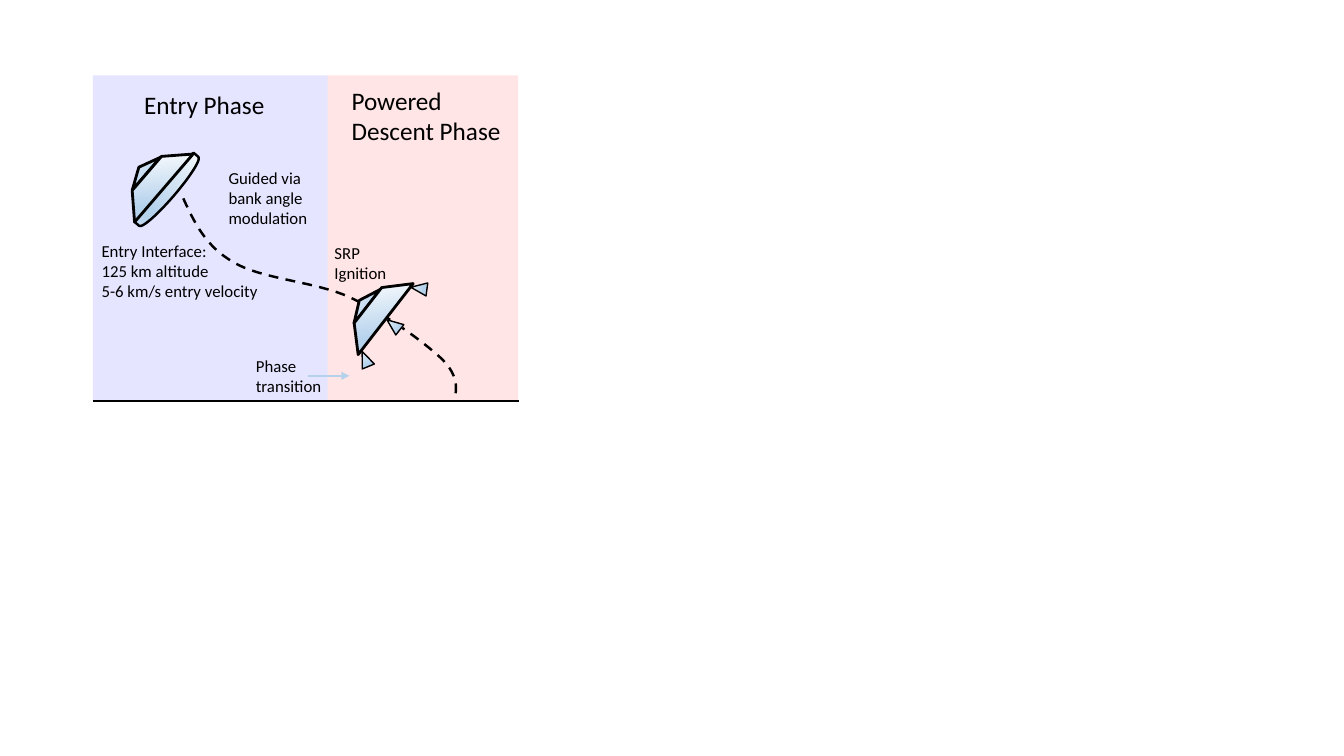
from lxml import etree
from pptx import Presentation
from pptx.dml.color import RGBColor
from pptx.enum.dml import MSO_LINE
from pptx.enum.shapes import MSO_CONNECTOR, MSO_SHAPE
from pptx.enum.text import MSO_AUTO_SIZE, PP_ALIGN
from pptx.oxml.ns import qn
from pptx.util import Cm, Pt

RECTANGLE = MSO_SHAPE.RECTANGLE
TRIANGLE = MSO_SHAPE.ISOSCELES_TRIANGLE
DELAY = MSO_SHAPE.FLOWCHART_DELAY
STRIPE = MSO_SHAPE.DIAGONAL_STRIPE
STRAIGHT = MSO_CONNECTOR.STRAIGHT
DASH = MSO_LINE.DASH
LEFT = PP_ALIGN.LEFT
FIT_TEXT = MSO_AUTO_SIZE.SHAPE_TO_FIT_TEXT

COLORS = {
    "ink": "000000",
    "entry": "E5E5FF",
    "descent": "FFE5E5",
    "pale": "F7FAFD",
    "sky": "B5D2EC",
    "mist": "CEE1F2",
}
METAL_STOPS = [(0, "pale"), (74, "sky"), (83, "sky"), (100, "mist")]

PHASE_PANELS = [
    ("descent", (8.23, 1.9, 4.83, 8.2)),
    ("entry", (2.34, 1.9, 5.92, 8.18)),
]

TRAJECTORY_START = (4.62, 5.0)
TRAJECTORY_CURVES = [
    ((4.9, 5.61), (5.18, 6.2), (5.87, 6.6)),
    ((6.58, 7.04), (7.95, 7.09), (8.81, 7.49)),
    ((9.7, 7.9), (10.67, 8.61), (11.13, 9.04)),
    ((11.56, 9.47), (11.51, 9.78), (11.46, 10.08)),
]
CURVE_STEPS = 16

NOSE = (TRIANGLE, (1.09, 0.25), 2)
SHIELD = (DELAY, (0.33, 2.29), 1.75)
BODY = (STRIPE, (1.6, 1.6), 2)
THRUSTER = (TRIANGLE, (0.33, 0.41), 1)

CAPSULES = [
    [
        (NOSE, (3.05, 4.17), 310.7),
        (SHIELD, (4.09, 3.68), 40.7),
        (BODY, (3.33, 3.94), 355.7),
    ],
    [
        (NOSE, (8.61, 7.52), 307.8),
        (BODY, (8.92, 7.24), 352.8),
        (THRUSTER, (9.75, 7.98), 307.8),
        (THRUSTER, (9.04, 8.84), 337.8),
        (THRUSTER, (10.39, 7.06), 277.8),
    ],
]

GROUND = ((2.34, 10.11), (13.08, 10.11))
TRANSITION_ARROW = ((7.77, 9.47), (8.81, 9.47))

LABELS = [
    (["Phase transition"], (6.2, 8.84, 2.54, 1.27), 12, True),
    (["Entry Interface:", "125 km altitude", "5-6 km/s entry velocity"],
     (2.31, 5.94, 4.6, 1.8), 12, False),
    (["Guided via bank angle modulation"], (5.51, 4.09, 2.59, 1.8), 12, True),
    (["SRP Ignition"], (8.18, 5.99, 1.9, 1.27), 12, True),
    (["Entry Phase"], (3.38, 2.13, 3.58, 1.02), 18, False),
    (["Powered", "Descent Phase"], (8.61, 2.03, 4.32, 1.8), 18, False),
]


def rgb(color):
    return RGBColor.from_string(COLORS[color])


def lengths(values):
    return [Cm(value) for value in values]


def set_line(part, width, color="ink"):
    part.line.color.rgb = rgb(color)
    part.line.width = Pt(width)


def fill_metal(part):
    part.fill.gradient()
    gradient = part.fill._xPr.find(qn("a:gradFill"))
    stops = gradient.find(qn("a:gsLst"))
    for stop in list(stops):
        stops.remove(stop)
    for percent, color in METAL_STOPS:
        stop = etree.SubElement(stops, qn("a:gs"), pos=str(percent * 1000))
        etree.SubElement(stop, qn("a:srgbClr"), val=COLORS[color])
    gradient.find(qn("a:lin")).set("ang", str(90 * 60000))


def add_panel(slide, color, box):
    panel = slide.shapes.add_shape(RECTANGLE, *lengths(box))
    panel.shadow.inherit = False
    panel.fill.solid()
    panel.fill.fore_color.rgb = rgb(color)
    panel.line.fill.background()


def bezier_point(t, *controls):
    weights = ((1 - t) ** 3, 3 * t * (1 - t) ** 2, 3 * t ** 2 * (1 - t), t ** 3)
    return tuple(
        Cm(sum(weight * control[axis] for weight, control in zip(weights, controls)))
        for axis in (0, 1)
    )


def add_trajectory(slide):
    start = TRAJECTORY_START
    points = []
    for curve in TRAJECTORY_CURVES:
        points += [bezier_point(step / CURVE_STEPS, start, *curve)
                   for step in range(1, CURVE_STEPS + 1)]
        start = curve[-1]
    builder = slide.shapes.build_freeform(*lengths(TRAJECTORY_START))
    builder.add_line_segments(points, close=False)
    trajectory = builder.convert_to_shape()
    trajectory.shadow.inherit = False
    trajectory.fill.background()
    set_line(trajectory, 1.75)
    trajectory.line.dash_style = DASH


def add_capsule(slide, parts):
    capsule = slide.shapes.add_group_shape()
    for (preset, size, width), corner, angle in parts:
        part = capsule.shapes.add_shape(preset, *lengths(corner + size))
        part.shadow.inherit = False
        part.rotation = angle
        fill_metal(part)
        set_line(part, width)


def add_line(slide, ends, width, color="ink", arrow=False):
    start, end = ends
    line = slide.shapes.add_connector(STRAIGHT, *lengths(start + end))
    set_line(line, width, color)
    properties = line._element.spPr
    if arrow:
        etree.SubElement(properties.find(qn("a:ln")), qn("a:tailEnd"), type="triangle")
    etree.SubElement(properties, qn("a:effectLst"))


def add_text(slide, lines, box, size=12, wrap=True, font="Calibri", color="ink"):
    label = slide.shapes.add_textbox(*lengths(box)).text_frame
    label.word_wrap = wrap
    label.auto_size = FIT_TEXT
    label.text = "\n".join(lines)
    for paragraph in label.paragraphs:
        paragraph.alignment = LEFT
        paragraph.font.name = font
        paragraph.font.size = Pt(size)
        paragraph.font.color.rgb = rgb(color)


def main():
    deck = Presentation()
    deck.slide_width, deck.slide_height = Cm(33.87), Cm(19.05)
    slide = deck.slides.add_slide(deck.slide_layouts[6])
    for color, box in PHASE_PANELS:
        add_panel(slide, color, box)
    add_trajectory(slide)
    for parts in CAPSULES:
        add_capsule(slide, parts)
    add_line(slide, GROUND, 1.25)
    add_line(slide, TRANSITION_ARROW, 1.5, color="sky", arrow=True)
    for lines, box, size, wrap in LABELS:
        add_text(slide, lines, box, size=size, wrap=wrap)
    deck.save("out.pptx")


if __name__ == "__main__":
    main()
